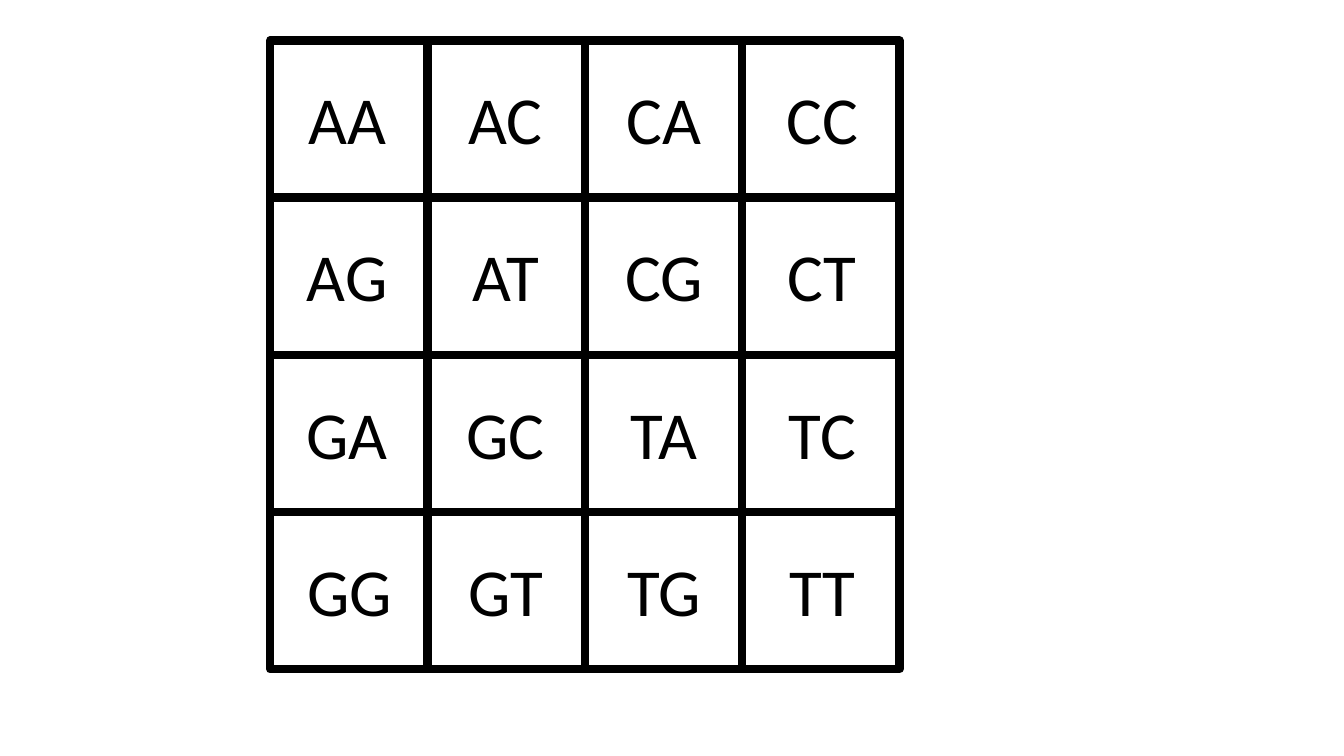
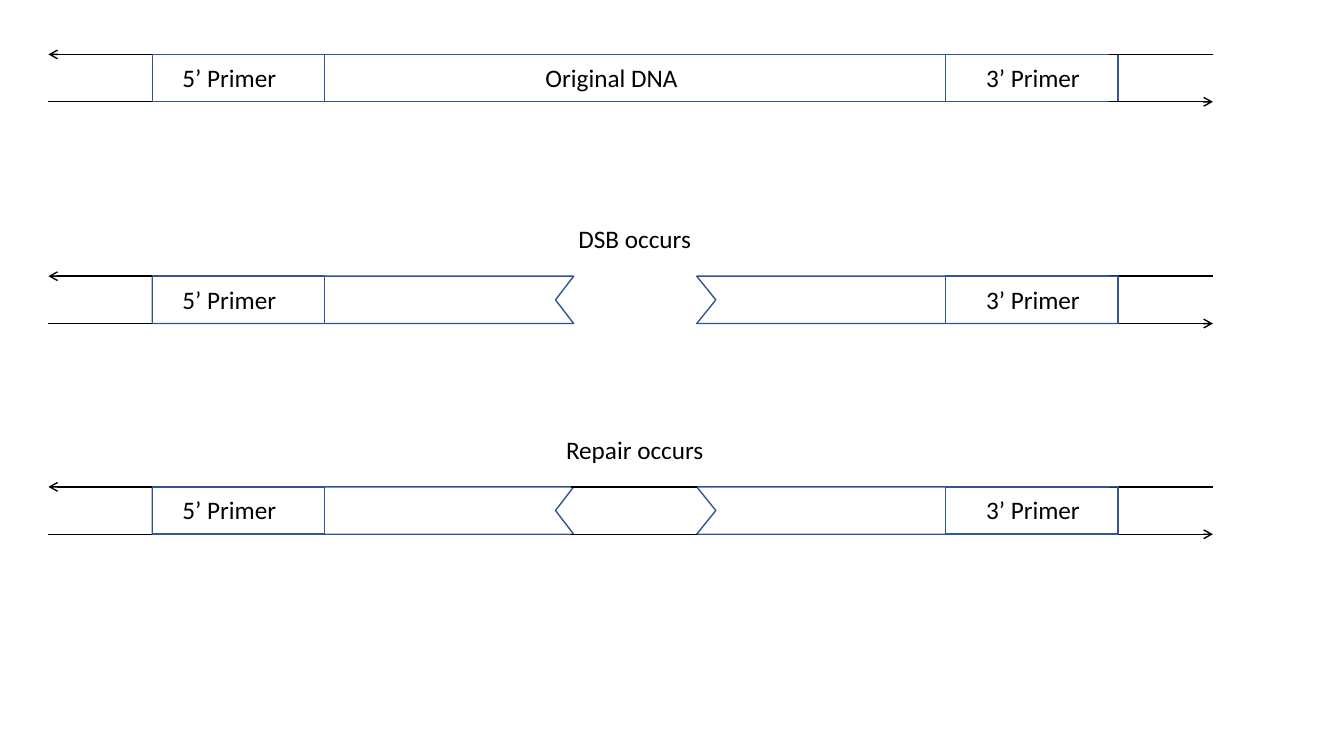
from dataclasses import dataclass

from pptx import Presentation
from pptx.dml.color import RGBColor
from pptx.enum.shapes import MSO_CONNECTOR, MSO_SHAPE
from pptx.enum.text import MSO_AUTO_SIZE, PP_ALIGN
from pptx.oxml.ns import qn
from pptx.util import Inches, Pt
from lxml import etree

RECTANGLE = MSO_SHAPE.RECTANGLE
STRAIGHT = MSO_CONNECTOR.STRAIGHT
CENTER = PP_ALIGN.CENTER
GROW = MSO_AUTO_SIZE.SHAPE_TO_FIT_TEXT
BLANK_LAYOUT = 6


@dataclass(frozen=True)
class Theme:
    font: str = "Calibri"
    ink: RGBColor = RGBColor(0x00, 0x00, 0x00)
    dna: RGBColor = RGBColor(0x32, 0x54, 0x91)
    grid_size: int = 48
    label_size: int = 18
    grid_line: float = 6
    thin_line: float = 1


THEME = Theme()


def write(frame, text, size=THEME.label_size, color=THEME.ink, align=CENTER):
    """Put one formatted paragraph into a text frame."""
    paragraph = frame.paragraphs[0]
    paragraph.alignment = align
    run = paragraph.add_run()
    run.text = text
    run.font.name = THEME.font
    run.font.size = Pt(size)
    run.font.color.rgb = color


class Deck:
    """Holds the presentation, its style and the place now drawn on."""

    def __init__(self, theme):
        self.theme = theme
        self.prs = Presentation()
        self.prs.slide_width, self.prs.slide_height = Inches(13.33), Inches(7.5)

    def slide(self):
        layout = self.prs.slide_layouts[BLANK_LAYOUT]
        self.current = self.prs.slides.add_slide(layout)
        self.shapes = self.current.shapes

    def group(self):
        self.shapes = self.current.shapes.add_group_shape().shapes

    def outline(self, shape, color, weight):
        shape.shadow.inherit = False
        shape.fill.background()
        shape.line.color.rgb = color
        shape.line.width = Pt(weight)

    def box(self, x, y, width, height, color, weight):
        shape = self.shapes.add_shape(
            RECTANGLE, Inches(x), Inches(y), Inches(width), Inches(height))
        self.outline(shape, color, weight)

    def polygon(self, points, color, weight):
        first, *rest = [(Inches(x), Inches(y)) for x, y in points]
        builder = self.shapes.build_freeform(*first)
        builder.add_line_segments(rest, close=True)
        self.outline(builder.convert_to_shape(), color, weight)

    def line(self, start, end, weight, arrow=False):
        connector = self.shapes.add_connector(
            STRAIGHT, *(Inches(value) for value in (*start, *end)))
        connector.line.color.rgb = self.theme.ink
        connector.line.width = Pt(weight)
        if arrow:
            etree.SubElement(connector.line._ln, qn("a:tailEnd"), type="arrow")
        etree.SubElement(connector._element.spPr, qn("a:effectLst"))

    def text(self, text, x, y, width, height, wrap=True, **style):
        frame = self.shapes.add_textbox(
            Inches(x), Inches(y), Inches(width), Inches(height)).text_frame
        frame.word_wrap = wrap
        frame.auto_size = GROW
        write(frame, text, **style)


deck = Deck(THEME)

# Slide 1: grid of base pairs, four blocks of four cells
PAIRS = ["AA AC CA CC", "AG AT CG CT", "GA GC TA TC", "GG GT TG TT"]
GRID_LEFT, GRID_TOP, CELL = 2.68, 0.4, 1.56
BLOCK = 2 * CELL
PAIR_LEFT, PAIR_TOP, PAIR_STEP = 2.93, 0.72, 1.57

deck.slide()
for block_row in range(2):
    for block_column in range(2):
        left = GRID_LEFT + block_column * BLOCK
        top = GRID_TOP + block_row * BLOCK
        deck.box(left, top, BLOCK, BLOCK, THEME.ink, THEME.grid_line)
        deck.line((left + CELL, top), (left + CELL, top + BLOCK), THEME.grid_line)
        deck.line((left + BLOCK, top + CELL), (left, top + CELL), THEME.grid_line)

for row, pairs in enumerate(PAIRS):
    for column, pair in enumerate(pairs.split()):
        pair_width = 1.08 if pair == "GG" else 1.03
        deck.text(pair, PAIR_LEFT + column * PAIR_STEP, PAIR_TOP + row * CELL,
                  pair_width, 0.91, wrap=False, size=THEME.grid_size)

# Slide 2: a DNA strand, its double-strand break and the repair
DNA_LEFT, DNA_RIGHT, DNA_HEIGHT = 1.51, 11.09, 0.47
PRIMER_WIDTH = 1.71
LABEL_WIDTH, LABEL_HEIGHT, LABEL_DROP = 3.15, 0.4, 0.03
END_LEFT, END_RIGHT, RIGHT_TAIL = 0.48, 12.03, 11
BREAK_LEFT, BREAK_RIGHT = 5.69, 6.91
LEFT_TIP, RIGHT_TIP = 5.51, 7.1


def fragment(outer, inner, tip, top):
    """Half of a broken strand, from its outer end to the cut."""
    bottom = top + DNA_HEIGHT
    points = [(outer, top), (inner, top), (tip, top + DNA_HEIGHT / 2),
              (inner, bottom), (outer, bottom)]
    deck.polygon(points, THEME.dna, THEME.thin_line)


def strand(top, broken):
    """A strand with primers at both ends and arrows showing direction."""
    bottom = top + DNA_HEIGHT
    label_top = top + LABEL_DROP
    deck.group()
    if broken:
        fragment(DNA_LEFT, BREAK_LEFT, LEFT_TIP, top)
    else:
        deck.box(DNA_LEFT, top, DNA_RIGHT - DNA_LEFT, DNA_HEIGHT,
                 THEME.dna, THEME.thin_line)
        deck.text("Original DNA", 4.49, label_top, LABEL_WIDTH, LABEL_HEIGHT)
    primers = [("5’ Primer", DNA_LEFT, 0.7),
               ("3’ Primer", DNA_RIGHT - PRIMER_WIDTH, 8.67)]
    for primer, left, label_left in primers:
        deck.box(left, top, PRIMER_WIDTH, DNA_HEIGHT, THEME.dna, THEME.thin_line)
        deck.text(primer, label_left, label_top, LABEL_WIDTH, LABEL_HEIGHT)
    for y, leftward in ((top, True), (bottom, False)):
        deck.line((DNA_LEFT, y), (END_LEFT, y), THEME.thin_line, arrow=leftward)
        deck.line((RIGHT_TAIL, y), (END_RIGHT, y), THEME.thin_line, arrow=not leftward)
    if broken:
        fragment(DNA_RIGHT, BREAK_RIGHT, RIGHT_TIP, top)


deck.slide()
strand(0.54, broken=False)
for stage, stage_top in (("DSB occurs", 2.74), ("Repair occurs", 4.83)):
    strand(stage_top, broken=True)
    deck.text(stage, 4.99, stage_top - 0.57, 2.61, LABEL_HEIGHT)

# New DNA that bridges the break in the last strand
for y in (stage_top + DNA_HEIGHT, stage_top):
    deck.line((BREAK_RIGHT, y), (5.66, y), THEME.thin_line)

deck.prs.save("out.pptx")
